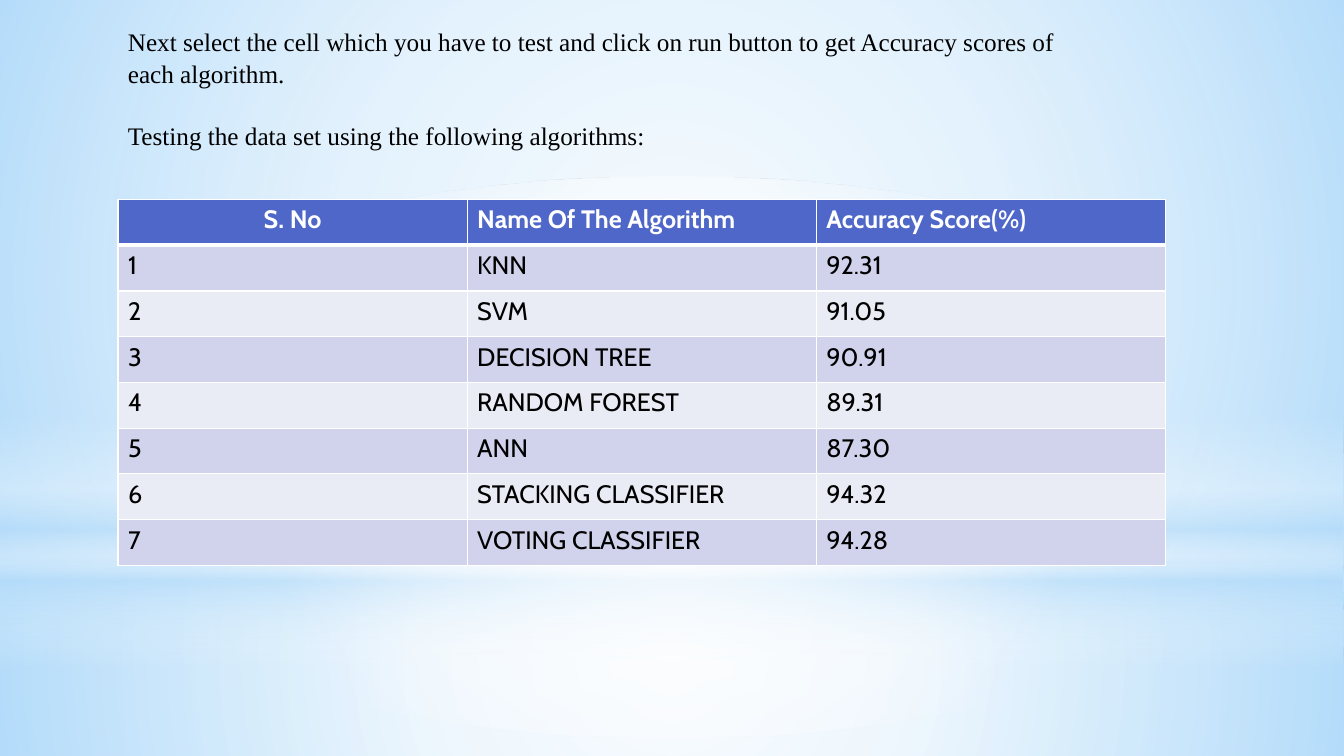
from dataclasses import dataclass

from pptx import Presentation
from pptx.dml.color import RGBColor as RGB
from pptx.enum.shapes import MSO_SHAPE as Shape
from pptx.enum.text import PP_ALIGN as Align
from pptx.oxml import parse_xml
from pptx.oxml.ns import nsdecls, qn
from pptx.util import Inches, Pt


@dataclass(frozen=True)
class Theme:
    sky: str = "B4DCFA"
    white: str = "FFFFFF"
    black: str = "000000"
    head: str = "4E67C8"
    bands: tuple = ("D0D3EB", "E9EBF5")
    serif: str = "Times New Roman"
    sans: str = "Cabin"
    size: int = 18
    gap: float = 21.7
    lead: float = 1.05
    rule: int = 1
    thick: int = 3


T = Theme()

INTRO = [
    "Next select the cell which you have to test and click on run button "
    "to get Accuracy scores of each algorithm.",
    "Testing the data set using the following algorithms:",
]
HEADS = ("S. No", "Name Of The Algorithm", "Accuracy Score(%)")
SCORES = [
    ("KNN", "92.31"),
    ("SVM", "91.05"),
    ("DECISION TREE", "90.91"),
    ("RANDOM FOREST", "89.31"),
    ("ANN", "87.30"),
    ("STACKING CLASSIFIER", "94.32"),
    ("VOTING CLASSIFIER", "94.28"),
]

ROUND = ('<a:path path="circle"><a:fillToRect l="50000" t="50000" '
         'r="50000" b="50000"/></a:path>')
DOWN = '<a:lin ang="5400000" scaled="0"/>'
# shape, (left, top, width, height), direction, (position %, colour, opacity %)
GLOWS = [
    (Shape.RECTANGLE, (0, 5.58, 13.33, 1.92), ROUND,
     [(0, T.white, 91), (37, T.white, 76), (100, T.sky, 79)]),
    (Shape.RECTANGLE, (0, 0, 13.33, 5.58), ROUND,
     [(0, T.white, 89), (48, T.white, 62), (100, T.sky, 79)]),
    (Shape.RECTANGLE, (0, 4.12, 13.33, 2.5), DOWN,
     [(0, T.white, 0), (29, T.white, 30), (45, T.sky, 40),
      (55, T.white, 26), (65, T.sky, 60), (100, T.white, 0)]),
    (Shape.OVAL, (0, 1.75, 13.33, 5.58), ROUND,
     [(0, T.white, 100), (56, T.white, 0)]),
]


def rgb(code):
    return RGB.from_string(code)


def add_glow(slide, kind, box, way, stops):
    """Add a borderless shape with a translucent gradient."""
    shape = slide.shapes.add_shape(kind, *map(Inches, box))
    shape.shadow.inherit = False
    shape.line.fill.background()
    shape.fill.background()
    marks = "".join(
        f'<a:gs pos="{pos * 1000}"><a:srgbClr val="{tint}">'
        f'<a:alpha val="{alpha * 1000}"/></a:srgbClr></a:gs>'
        for pos, tint, alpha in stops)
    grad = parse_xml(f'<a:gradFill {nsdecls("a")} rotWithShape="1">'
                     f'<a:gsLst>{marks}</a:gsLst>{way}</a:gradFill>')
    props = shape._element.spPr
    props.replace(props.find(qn("a:noFill")), grad)


def add_run(para, text, face, tint, bold=False):
    run = para.add_run()
    run.text = text
    font = run.font
    font.name, font.size, font.bold = face, Pt(T.size), bold
    font.color.rgb = rgb(tint)


def add_intro(slide):
    box = slide.shapes.add_textbox(*map(Inches, (1.17, 0.2, 9.57, 6.28)))
    frame = box.text_frame
    frame.word_wrap = True
    for i, text in enumerate(INTRO):
        para = frame.add_paragraph() if i else frame.paragraphs[0]
        para.line_spacing = T.lead
        if i:
            para.space_before = Pt(T.gap)
        add_run(para, text, T.serif, T.black)


def set_edges(cell, top, base):
    """Draw white borders; top and base are the widths in points."""
    props = cell._tc.get_or_add_tcPr()
    widths = {"L": T.rule, "R": T.rule, "T": top, "B": base}
    for i, (side, width) in enumerate(widths.items()):
        props.insert(i, parse_xml(
            f'<a:ln{side} {nsdecls("a")} w="{Pt(width)}"><a:solidFill>'
            f'<a:srgbClr val="{T.white}"/></a:solidFill></a:ln{side}>'))


def add_scores(slide):
    rows = [HEADS] + [(str(n), *row) for n, row in enumerate(SCORES, 1)]
    place = map(Inches, (1.17, 1.98, 10.39, 3.63))
    table = slide.shapes.add_table(len(rows), len(HEADS), *place).table
    for r, row in enumerate(rows):
        head = r == 0
        fill = T.head if head else T.bands[(r - 1) % 2]
        for c, text in enumerate(row):
            cell = table.cell(r, c)
            cell.fill.solid()
            cell.fill.fore_color.rgb = rgb(fill)
            set_edges(cell, T.thick if r == 1 else T.rule,
                      T.thick if head else T.rule)
            para = cell.text_frame.paragraphs[0]
            if head and c == 0:
                para.alignment = Align.CENTER
            add_run(para, text, T.sans, T.white if head else T.black, head)


def main():
    deck = Presentation()
    deck.slide_width, deck.slide_height = Inches(13.33), Inches(7.5)
    slide = deck.slides.add_slide(deck.slide_layouts[6])
    back = slide.background.fill
    back.solid()
    back.fore_color.rgb = rgb(T.sky)
    for glow in GLOWS:
        add_glow(slide, *glow)
    add_intro(slide)
    add_scores(slide)
    deck.save("out.pptx")


if __name__ == "__main__":
    main()
